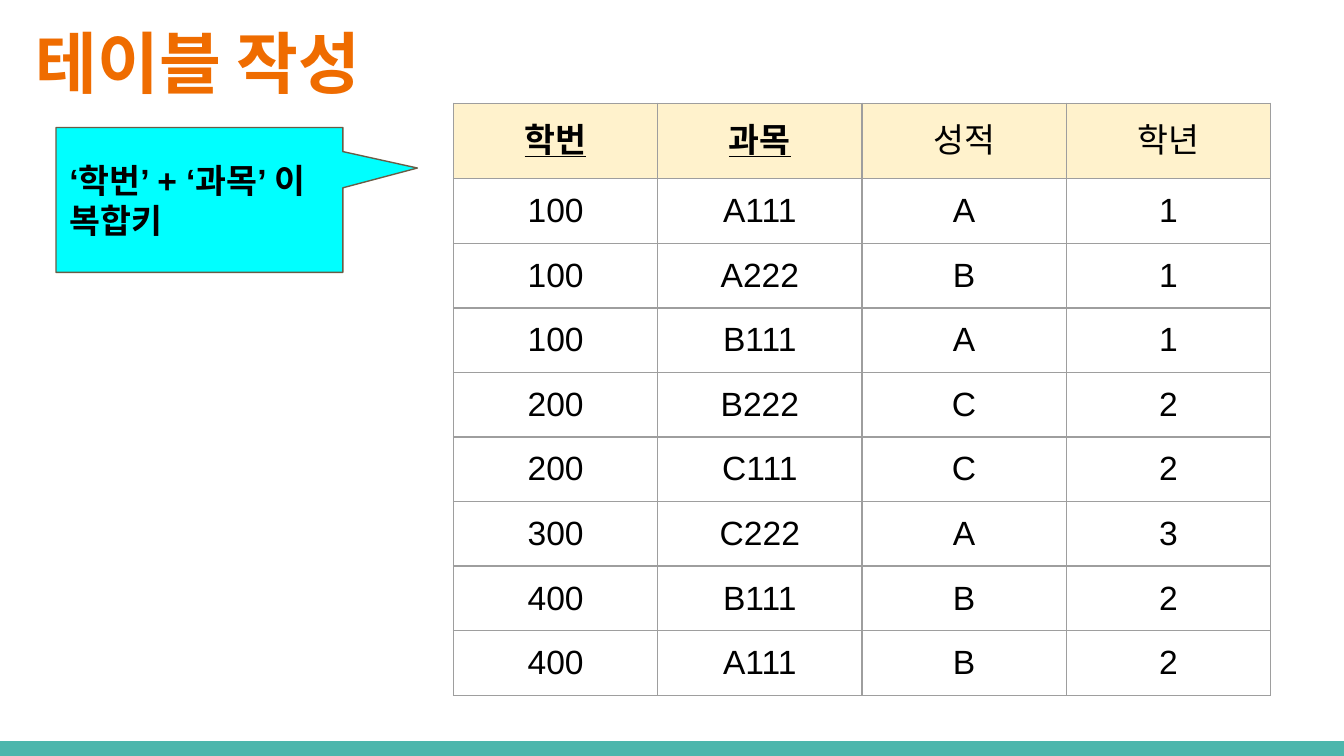
import pptx
import pptx.util
import pptx.dml.color
import pptx.enum.shapes
import pptx.enum.text
import pptx.oxml
import pptx.oxml.ns
from lxml import etree

Cm, Pt = pptx.util.Cm, pptx.util.Pt
ANCHOR = pptx.enum.text.MSO_ANCHOR
ALIGN = pptx.enum.text.PP_ALIGN
SHAPE = pptx.enum.shapes.MSO_SHAPE

TITLE = "테이블 작성"
NOTE = "‘학번’ + ‘과목’ 이 복합키"
HEADERS = ["학번", "과목", "성적", "학년"]
KEY_HEADERS = ["학번", "과목"]
ROWS = [
    ("100", "A111", "A", "1"),
    ("100", "A222", "B", "1"),
    ("100", "B111", "A", "1"),
    ("200", "B222", "C", "2"),
    ("200", "C111", "C", "2"),
    ("300", "C222", "A", "3"),
    ("400", "B111", "B", "2"),
    ("400", "A111", "B", "2"),
]
COLORS = {
    "title": "EF6C00",
    "text": "000000",
    "bar": "4DB6AC",
    "header": "FFF2CC",
    "border": "9E9E9E",
    "callout": "00FFFF",
    "callout_line": "695D46",
}
INSET = Cm(0.25)
COLUMN_WIDTH = Cm(3.86)
HEADER_HEIGHT, ROW_HEIGHT = Cm(1.43), Cm(1.22)


def rgb(name):
    return pptx.dml.color.RGBColor.from_string(COLORS[name])


def set_insets(target):
    target.margin_left = target.margin_right = INSET
    target.margin_top = target.margin_bottom = INSET


def write(text_frame, text, size, color="text", font="Arial", bold=False,
          underline=False, align=ALIGN.LEFT):
    text_frame.text = text
    paragraph = text_frame.paragraphs[0]
    paragraph.alignment = align
    run_font = paragraph.runs[0].font
    run_font.name, run_font.size = font, Pt(size)
    run_font.bold, run_font.underline = bold, underline
    run_font.color.rgb = rgb(color)
    properties = paragraph.runs[0]._r.get_or_add_rPr()
    east_asian = etree.SubElement(properties, pptx.oxml.ns.qn("a:ea"))
    east_asian.set("typeface", font)


def set_borders(cell):
    properties = cell._tc.get_or_add_tcPr()
    for index, side in enumerate(("lnL", "lnR", "lnT", "lnB")):
        border = pptx.oxml.parse_xml(
            f'<a:{side} {pptx.oxml.ns.nsdecls("a")} w="{Pt(0.75)}"><a:solidFill>'
            f'<a:srgbClr val="{COLORS["border"]}"/></a:solidFill></a:{side}>')
        properties.insert(index, border)


def add_filled_shape(slide, kind, box, color):
    shape = slide.shapes.add_shape(kind, *map(Cm, box))
    shape.shadow.inherit = False
    shape.fill.solid()
    shape.fill.fore_color.rgb = rgb(color)
    return shape


def add_title(slide):
    title = slide.shapes.title
    title.left, title.top, title.width, title.height = map(Cm, (0.43, 0.18, 7.32, 1.96))
    frame = title.text_frame
    set_insets(frame)
    frame.auto_size = pptx.enum.text.MSO_AUTO_SIZE.NONE
    frame.vertical_anchor = ANCHOR.MIDDLE
    write(frame, TITLE, 36, "title", "Arial Narrow", bold=True)


def add_grades(slide):
    records = [HEADERS, *ROWS]
    frame = slide.shapes.add_table(
        len(records), len(HEADERS), Cm(8.57), Cm(1.95),
        COLUMN_WIDTH * len(HEADERS), HEADER_HEIGHT + ROW_HEIGHT * len(ROWS))
    table = frame.table
    table.first_row = table.horz_banding = False
    for column in table.columns:
        column.width = COLUMN_WIDTH
    for row_index, record in enumerate(records):
        is_header = row_index == 0
        table.rows[row_index].height = HEADER_HEIGHT if is_header else ROW_HEIGHT
        for column_index, value in enumerate(record):
            cell = table.cell(row_index, column_index)
            is_key = is_header and value in KEY_HEADERS
            set_insets(cell)
            cell.vertical_anchor = ANCHOR.MIDDLE
            write(cell.text_frame, value, 18, bold=is_key, underline=is_key,
                  align=ALIGN.CENTER)
            if is_header:
                cell.fill.solid()
                cell.fill.fore_color.rgb = rgb("header")
            else:
                cell.fill.background()
            set_borders(cell)


def add_callout(slide):
    callout = add_filled_shape(
        slide, SHAPE.RECTANGULAR_CALLOUT, (1.06, 2.41, 5.42, 2.74), "callout")
    callout.adjustments[0], callout.adjustments[1] = 0.76, -0.22
    callout.line.color.rgb = rgb("callout_line")
    callout.line.width = Pt(0.75)
    frame = callout.text_frame
    set_insets(frame)
    frame.word_wrap = True
    frame.vertical_anchor = ANCHOR.MIDDLE
    write(frame, NOTE, 18, bold=True)


def main():
    presentation = pptx.Presentation()
    presentation.slide_width, presentation.slide_height = Cm(25.4), Cm(14.29)
    slide = presentation.slides.add_slide(presentation.slide_layouts[5])
    bar = add_filled_shape(slide, SHAPE.RECTANGLE, (0, 14.01, 25.4, 0.28), "bar")
    bar.line.fill.background()
    add_title(slide)
    add_grades(slide)
    add_callout(slide)
    presentation.save("out.pptx")


if __name__ == "__main__":
    main()
